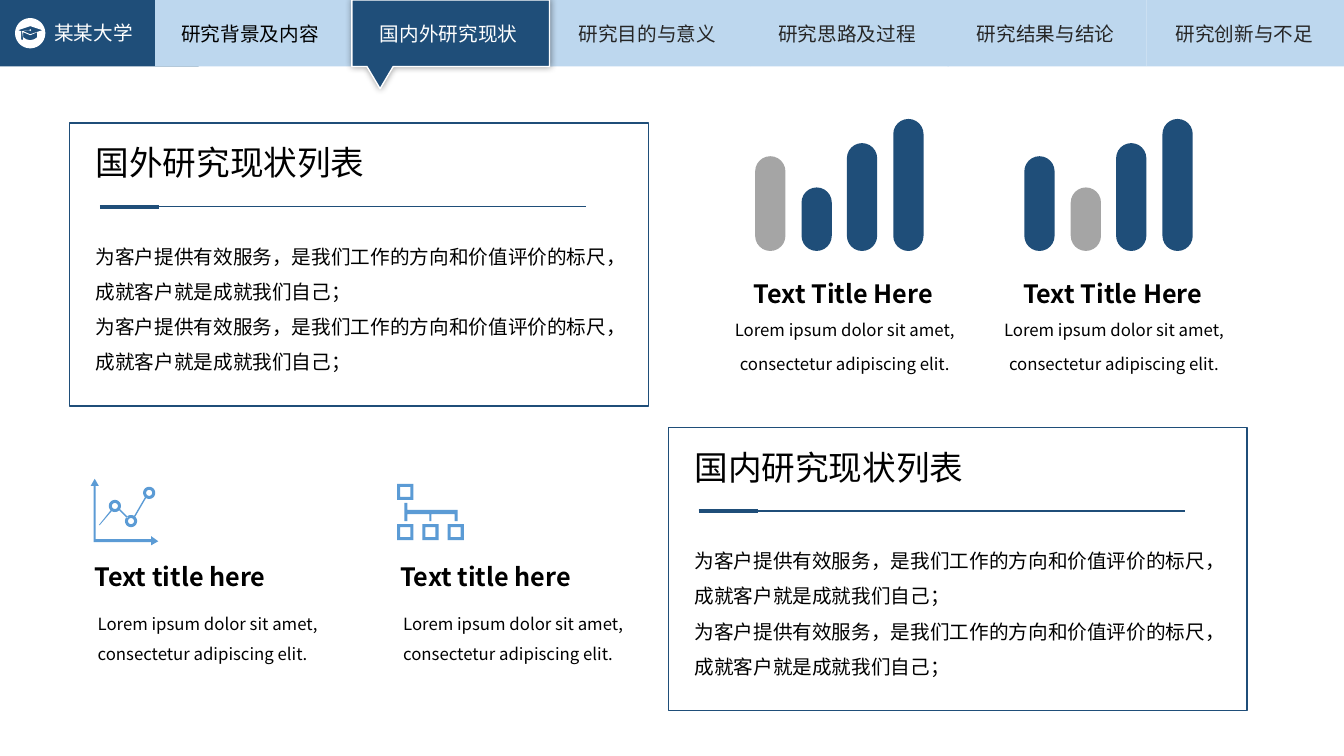
"""Build the research status slide."""
import math
from dataclasses import dataclass, field

from lxml import etree
from pptx import Presentation
from pptx.dml.color import RGBColor
from pptx.enum.shapes import MSO_CONNECTOR, MSO_SHAPE
from pptx.enum.text import MSO_AUTO_SIZE, PP_ALIGN
from pptx.oxml.ns import qn
from pptx.shapes.base import BaseShape
from pptx.slide import Slide
from pptx.util import Emu, Pt

PX = 9144
LEFT, CENTER = PP_ALIGN.LEFT, PP_ALIGN.CENTER
RECTANGLE, ROUNDED = MSO_SHAPE.RECTANGLE, MSO_SHAPE.ROUNDED_RECTANGLE
STRAIGHT = MSO_CONNECTOR.STRAIGHT
FIT_SHAPE = MSO_AUTO_SIZE.SHAPE_TO_FIT_TEXT

Contour = list[tuple[float, float]]


@dataclass(frozen=True)
class Theme:
    """Colours, font and type sizes of the slide."""
    navy: str = "1F4E79"
    pale: str = "BDD7EE"
    sky: str = "5B9BD5"
    gray: str = "A5A5A5"
    white: str = "FFFFFF"
    black: str = "000000"
    charcoal: str = "262626"
    font: str = "Noto Sans CJK SC"
    heading: int = 24
    title: int = 18
    body: int = 14
    caption: int = 12


THEME = Theme()


@dataclass(frozen=True)
class Label:
    """A text box with one format for all its paragraphs."""
    left: int
    top: int
    width: int
    height: int
    paragraphs: list[str]
    size: int
    color: str = THEME.black
    wrap: bool = True
    font: dict = field(default_factory=dict)
    layout: dict = field(default_factory=dict)


@dataclass(frozen=True)
class Panel:
    """A framed list with a heading and a rule."""
    left: int
    top: int
    heading: str


@dataclass(frozen=True)
class BarGroup:
    """Four rounded bars, one of them muted."""
    left: int
    muted: int


@dataclass(frozen=True)
class Icon:
    """A filled outline made of closed contours."""
    contours: list[Contour]
    color: str


TABS = ["研究背景及内容", "国内外研究现状", "研究目的与意义",
        "研究思路及过程", "研究结果与结论", "研究创新与不足"]
PANELS = [Panel(69, 122, "国外研究现状列表"), Panel(663, 424, "国内研究现状列表")]
SERVICE = "为客户提供有效服务，是我们工作的方向和价值评价的标尺，成就客户就是成就我们自己；"
LOREM = "Lorem ipsum dolor sit amet, consectetur adipiscing elit."
BAR_GROUPS = [BarGroup(749, 0), BarGroup(1016, 1)]
BAR_TOPS = [155, 186, 142, 118]
BAR_BOTTOM = 249
FEATURE_LEFTS = [84, 387]
CALLOUT = [(349, 0), (545, 0), (545, 66), (390, 66), (377, 88), (364, 66), (349, 66)]


def circle(x: int, y: int, radius: int) -> Contour:
    """Return the points of a circle."""
    angles = [math.tau * step / 48 for step in range(48)]
    return [(x + radius * math.cos(a), y + radius * math.sin(a)) for a in angles]


def square(left: int, top: int, size: int) -> Contour:
    """Return the corners of a square."""
    return [(left, top), (left + size, top), (left + size, top + size), (left, top + size)]


CAP = Icon([
    circle(30, 33, 15),
    [(21, 31), (22, 31), (23, 39), (22, 40), (21, 39)],
    [(23, 32), (30, 35), (37, 32), (37, 37), (34, 39), (30, 40), (26, 39), (23, 37)],
    [(30, 34), (23, 31), (29, 30), (30, 31), (31, 30), (30, 29), (29, 30),
     (21, 31), (18, 30), (30, 26), (42, 30)],
], THEME.white)
LINE_CHART = Icon([
    [(94, 475), (98, 482), (95, 482), (95, 535), (150, 535), (150, 532), (157, 537),
     (150, 541), (150, 538), (93, 538), (93, 482), (90, 482)],
    [(98, 521), (110, 506), (111, 507), (99, 521)],
    [(118, 506), (119, 505), (127, 513), (126, 514)],
    [(133, 512), (144, 493), (145, 494), (134, 513)],
    *[circle(x, y, radius) for x, y in [(114, 502), (130, 517), (148, 489)]
      for radius in (6, 3)],
], THEME.sky)
TREE = Icon([
    [(401, 499), (404, 499), (404, 506), (454, 506), (454, 517), (451, 517), (451, 510),
     (428, 510), (428, 517), (426, 517), (426, 510), (404, 510), (404, 517), (401, 517)],
    *[square(x + inset, y + inset, 16 - 2 * inset)
      for x, y in [(394, 480), (394, 520), (419, 520), (444, 520)] for inset in (0, 3)],
], THEME.sky)


def px(*lengths: float) -> list[Emu]:
    """Convert px lengths to EMU."""
    return [Emu(round(length * PX)) for length in lengths]


def paint(shape: BaseShape, fill: str = "", line: str = "") -> None:
    """Set fill and outline and drop the shadow."""
    shape.shadow.inherit = False
    if fill:
        shape.fill.solid()
        shape.fill.fore_color.rgb = RGBColor.from_string(fill)
    else:
        shape.fill.background()
    if line:
        shape.line.color.rgb = RGBColor.from_string(line)
        shape.line.width = Pt(1)
    else:
        shape.line.fill.background()


def draw_box(slide: Slide, left: int, top: int, width: int, height: int,
             fill: str = "", line: str = "", kind: MSO_SHAPE = RECTANGLE) -> BaseShape:
    """Draw a preset shape."""
    shape = slide.shapes.add_shape(kind, *px(left, top, width, height))
    paint(shape, fill, line)
    return shape


def draw_outline(slide: Slide, contours: list[Contour], fill: str, line: str = "") -> BaseShape:
    """Draw one freeform from closed contours."""
    first, *others = [[px(*point) for point in contour] for contour in contours]
    builder = slide.shapes.build_freeform(*first[0], scale=1.0)
    builder.add_line_segments(first[1:], close=True)
    for contour in others:
        builder.move_to(*contour[0])
        builder.add_line_segments(contour[1:], close=True)
    shape = builder.convert_to_shape()
    paint(shape, fill, line)
    return shape


def draw_line(slide: Slide, left: int, top: int, width: int, weight: int) -> None:
    """Draw a horizontal navy rule."""
    line = slide.shapes.add_connector(STRAIGHT, *px(left, top, left + width, top))
    line.line.color.rgb = RGBColor.from_string(THEME.navy)
    line.line.width = Pt(weight)
    etree.SubElement(line._element.spPr, qn("a:effectLst"))


def draw_label(slide: Slide, label: Label) -> None:
    """Draw a text box."""
    box = slide.shapes.add_textbox(*px(label.left, label.top, label.width, label.height))
    frame = box.text_frame
    frame.word_wrap = label.wrap
    frame.auto_size = FIT_SHAPE
    for index, text in enumerate(label.paragraphs):
        paragraph = frame.add_paragraph() if index else frame.paragraphs[0]
        for name, value in ({"alignment": LEFT} | label.layout).items():
            setattr(paragraph, name, value)
        run = paragraph.add_run()
        run.text = text
        run.font.color.rgb = RGBColor.from_string(label.color)
        for name, value in ({"name": THEME.font, "size": Pt(label.size)} | label.font).items():
            setattr(run.font, name, value)
        etree.SubElement(run._r.get_or_add_rPr(), qn("a:ea"), typeface=THEME.font)


def draw_navigation(slide: Slide) -> None:
    """Draw the tab bar with its raised active tab."""
    draw_box(slide, 0, 0, 197, 66, THEME.navy)
    for index in range(len(TABS)):
        draw_box(slide, round(154 + 196.6 * index), 0, 197, 66, THEME.pale)
    callout = draw_outline(slide, [CALLOUT], THEME.navy, THEME.white)
    effects = callout._element.spPr.find(qn("a:effectLst"))
    shadow = etree.SubElement(effects, qn("a:outerShdw"), blurRad=str(Pt(5)), dist="0", dir="0")
    color = etree.SubElement(shadow, qn("a:srgbClr"), val=THEME.black)
    etree.SubElement(color, qn("a:alpha"), val="40000")
    colors = [THEME.black, THEME.white] + [THEME.charcoal] * 4
    for index, (text, text_color) in enumerate(zip(TABS, colors)):
        draw_label(slide, Label(round(170 + 197.2 * index), 17, 158, 34, [text],
                                THEME.body, text_color, wrap=False))
    draw_outline(slide, CAP.contours, CAP.color)
    draw_label(slide, Label(44, 16, 99, 34, ["某某大学"], THEME.body, THEME.white, wrap=False))


def draw_panel(slide: Slide, panel: Panel) -> None:
    """Draw a framed list."""
    left, top = panel.left, panel.top
    draw_box(slide, left, top, 574, 281, line=THEME.navy)
    draw_label(slide, Label(left + 16, top + 14, 355, 50, [panel.heading], THEME.heading))
    for width, weight in [(482, 1), (59, 3)]:
        draw_line(slide, left + 30, top + 83, width, weight)
    draw_label(slide, Label(left + 16, top + 104, 543, 148, [SERVICE] * 2, THEME.body,
                            layout={"line_spacing": 1.5}))


def draw_bars(slide: Slide, group: BarGroup) -> None:
    """Draw a bar group and its captions."""
    for index, top in enumerate(BAR_TOPS):
        color = THEME.gray if index == group.muted else THEME.navy
        bar = draw_box(slide, group.left + round(137 * index / 3), top, 30,
                       BAR_BOTTOM - top, color, kind=ROUNDED)
        bar.adjustments[0] = 0.5
    draw_label(slide, Label(group.left - 20, 271, 215, 40, ["Text Title Here"], THEME.title,
                            font={"bold": True}, layout={"alignment": CENTER}))
    draw_label(slide, Label(group.left - 76, 299, 330, 74, [LOREM], THEME.caption,
                            layout={"alignment": CENTER, "line_spacing": Pt(24)}))


def draw_feature(slide: Slide, left: int, icon: Icon) -> None:
    """Draw an icon with its title and text."""
    draw_label(slide, Label(left, 552, 238, 40, ["Text title here"], THEME.title,
                            font={"bold": True}))
    draw_label(slide, Label(left + 3, 593, 299, 71, [LOREM], THEME.caption,
                            layout={"line_spacing": Pt(22)}))
    draw_outline(slide, icon.contours, icon.color)


def main() -> None:
    """Build and save the presentation."""
    presentation = Presentation()
    presentation.slide_width, presentation.slide_height = px(1333, 750)
    slide = presentation.slides.add_slide(presentation.slide_layouts[6])
    draw_navigation(slide)
    for panel in PANELS:
        draw_panel(slide, panel)
    for group in BAR_GROUPS:
        draw_bars(slide, group)
    for left, icon in zip(FEATURE_LEFTS, [LINE_CHART, TREE]):
        draw_feature(slide, left, icon)
    presentation.save("out.pptx")


if __name__ == "__main__":
    main()
